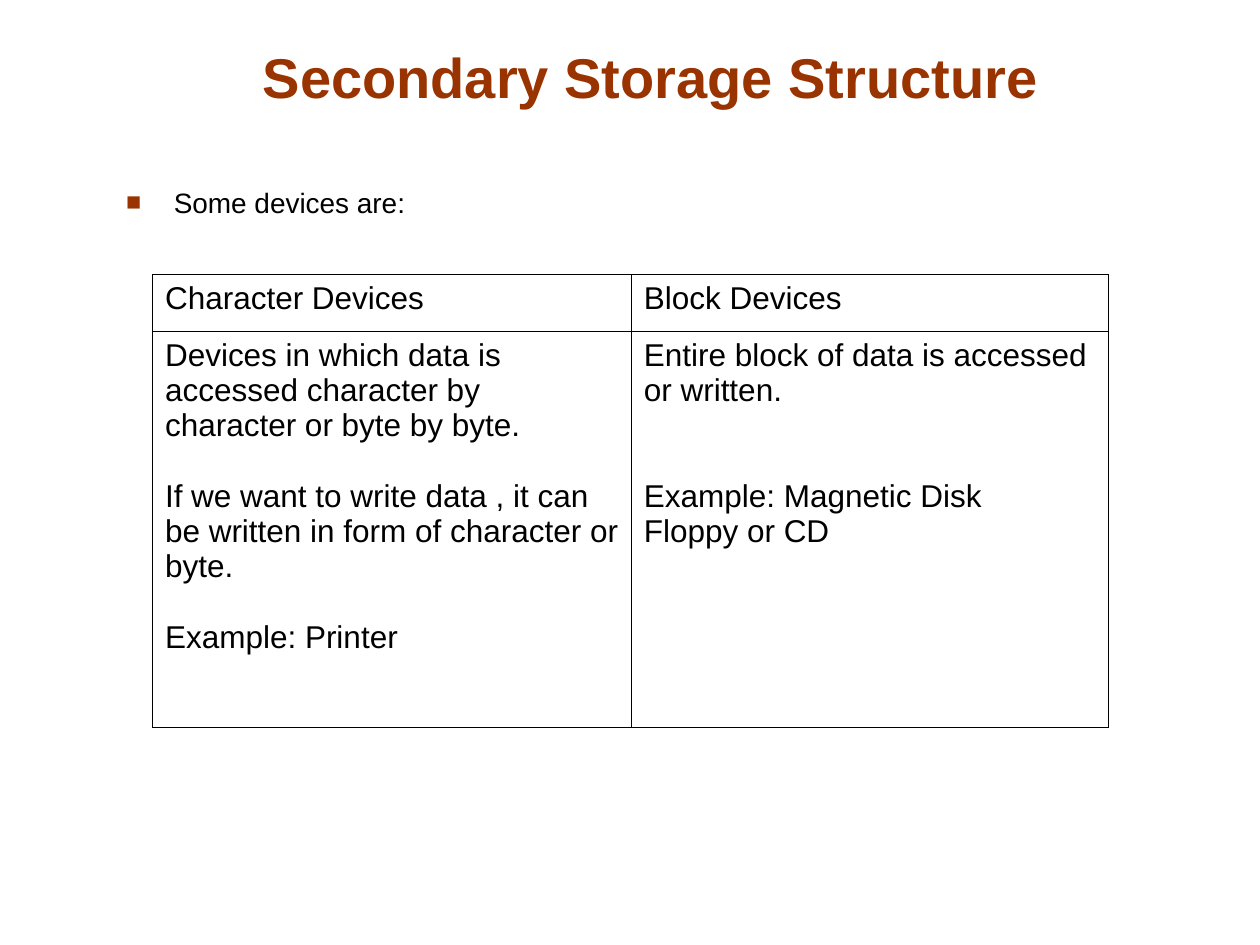
from dataclasses import dataclass

from lxml import etree
from pptx import Presentation
from pptx.dml.color import RGBColor
from pptx.enum import text
from pptx.oxml import ns
from pptx.util import Inches, Pt


@dataclass(frozen=True)
class Theme:
    font: str = "Arial"
    accent: str = "993300"
    ink: str = "000000"
    paper: str = "FFFFFF"
    title: float = 32
    body: float = 16
    cell: float = 18
    border: float = 0.45
    line: float = 20.2


@dataclass(frozen=True)
class Para:
    text: str
    lines_before: int = 0


THEME = Theme()
COLUMNS = (3.8, 3.79)
ROWS = (0.45, 3.14)
DEVICES = (
    ((Para("Character Devices"),), (Para("Block Devices"),)),
    (
        (
            Para("Devices in which data is accessed character by character or byte by byte."),
            Para("If we want to write data , it can be written in form of character or byte.", 1),
            Para("Example: Printer", 1),
        ),
        (
            Para("Entire block of data is accessed or written."),
            Para("Example: Magnetic Disk", 2),
            Para("Floppy or CD"),
        ),
    ),
)


def style(p, size: float, color: str, bold: bool = False) -> None:
    for r in p.runs:
        r.font.name = THEME.font
        r.font.size = Pt(size)
        r.font.bold = bold
        r.font.color.rgb = RGBColor.from_string(color)


def place(sp, left: float, top: float, width: float, height: float) -> None:
    sp.left, sp.top, sp.width, sp.height = map(Inches, (left, top, width, height))


def add_bullet(p, indent: float) -> None:
    pPr = p._p.get_or_add_pPr()
    pPr.set("marL", str(Inches(indent)))
    pPr.set("indent", str(-Inches(indent)))
    color = etree.SubElement(pPr, ns.qn("a:buClr"))
    etree.SubElement(color, ns.qn("a:srgbClr"), val=THEME.accent)
    etree.SubElement(pPr, ns.qn("a:buSzPct"), val="90000")
    etree.SubElement(pPr, ns.qn("a:buFont"), typeface=THEME.font)
    etree.SubElement(pPr, ns.qn("a:buChar"), char="■")


def add_borders(cell) -> None:
    tcPr = cell._tc.get_or_add_tcPr()
    for i, side in enumerate(("lnL", "lnR", "lnT", "lnB")):
        ln = etree.Element(ns.qn(f"a:{side}"), w=str(Pt(THEME.border)))
        fill = etree.SubElement(ln, ns.qn("a:solidFill"))
        etree.SubElement(fill, ns.qn("a:srgbClr"), val=THEME.ink)
        tcPr.insert(i, ln)


def fill_cell(cell, paras: tuple[Para, ...]) -> None:
    cell.fill.background()
    add_borders(cell)
    tf = cell.text_frame
    for i, para in enumerate(paras):
        p = tf.add_paragraph() if i else tf.paragraphs[0]
        p.text = para.text
        if para.lines_before:
            p.space_before = Pt(para.lines_before * THEME.line)
        style(p, THEME.cell, THEME.ink)


def add_device_table(s) -> None:
    frame = s.shapes.add_table(len(ROWS), len(COLUMNS), Inches(1.21), Inches(2.18),
                               Inches(sum(COLUMNS)), Inches(sum(ROWS)))
    table = frame.table
    table.first_row = table.horz_banding = False
    for column, width in zip(table.columns, COLUMNS):
        column.width = Inches(width)
    for row, height, contents in zip(table.rows, ROWS, DEVICES):
        row.height = Inches(height)
        for cell, paras in zip(row.cells, contents):
            fill_cell(cell, paras)


def main() -> None:
    prs = Presentation()
    prs.slide_width, prs.slide_height = Inches(10), Inches(7.5)
    s = prs.slides.add_slide(prs.slide_layouts[1])
    s.background.fill.solid()
    s.background.fill.fore_color.rgb = RGBColor.from_string(THEME.paper)

    title = s.shapes.title
    place(title, 0.75, 0.25, 8.83, 0.67)
    tf = title.text_frame
    tf.text = "Secondary Storage Structure"
    tf.auto_size = text.MSO_AUTO_SIZE.NONE
    tf.vertical_anchor = text.MSO_ANCHOR.BOTTOM
    tf.paragraphs[0].alignment = text.PP_ALIGN.CENTER
    style(tf.paragraphs[0], THEME.title, THEME.accent, bold=True)

    body = s.placeholders[1]
    place(body, 0.9, 1.42, 8.04, 4.9)
    tf = body.text_frame
    tf.text = "Some devices are:"
    tf.auto_size = text.MSO_AUTO_SIZE.NONE
    p = tf.paragraphs[0]
    p.space_before = Pt(0)
    add_bullet(p, 0.38)
    style(p, THEME.body, THEME.ink)

    add_device_table(s)
    prs.save("out.pptx")


if __name__ == "__main__":
    main()
